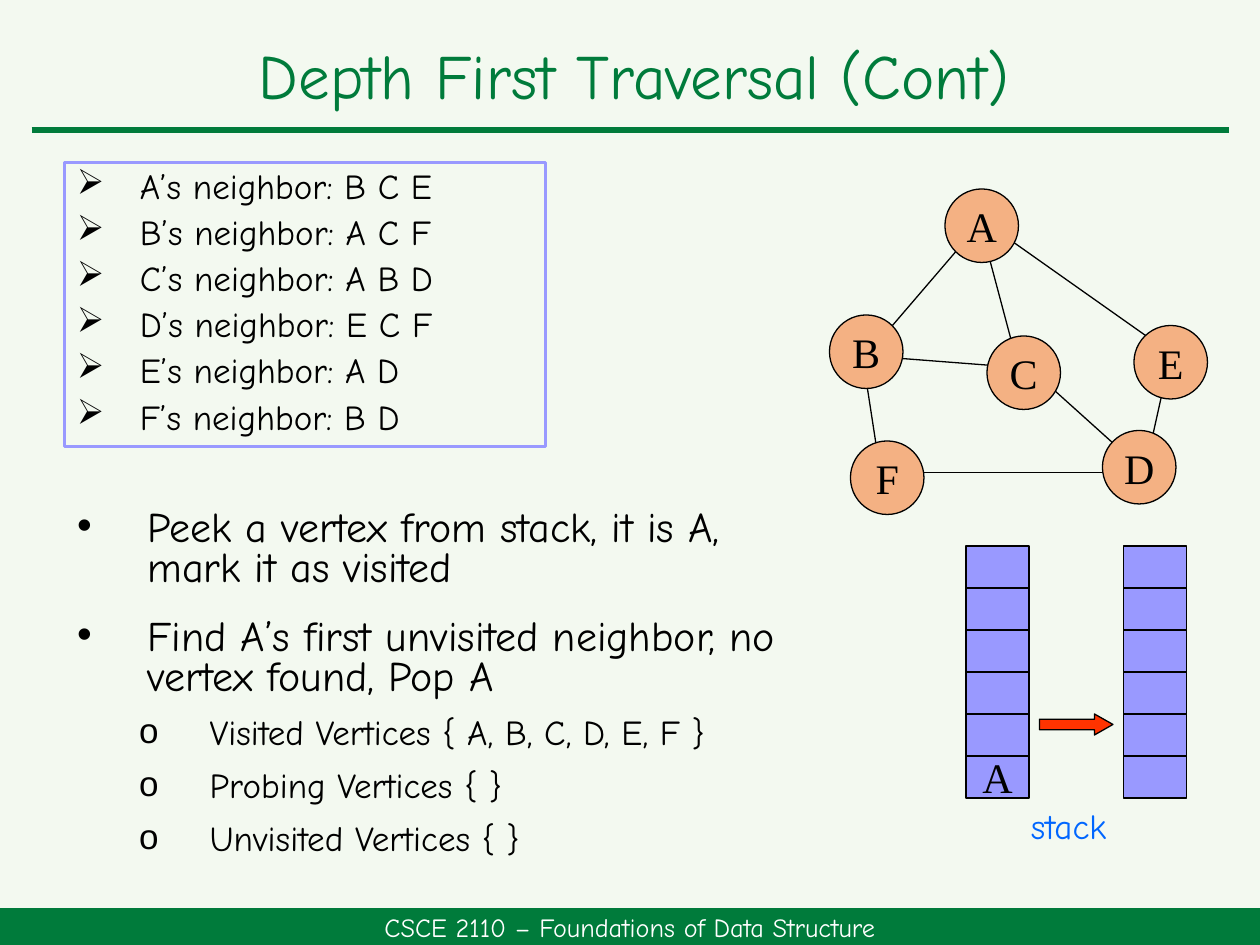
import dataclasses

import pptx
import pptx.dml.color
import pptx.enum.shapes
import pptx.enum.text
import pptx.oxml
import pptx.oxml.ns
import pptx.util

Cm = pptx.util.Cm
Pt = pptx.util.Pt
RGB = pptx.dml.color.RGBColor.from_string
SHAPE = pptx.enum.shapes.MSO_SHAPE
ALIGN = pptx.enum.text.PP_ALIGN
ANCHOR = pptx.enum.text.MSO_ANCHOR


@dataclasses.dataclass(frozen=True)
class Theme:
    background: str = "F3F9F0"
    green: str = "007B3B"
    white: str = "FFFFFF"
    black: str = "000000"
    label: str = "0066FF"
    node: str = "F4B183"
    cell: str = "9999FF"
    arrow: str = "FF3300"
    font: str = "Comic Neue"
    node_font: str = "Times New Roman"
    title_size: int = 36
    large_size: int = 24
    small_size: int = 20
    footer_size: int = 15


THEME = Theme()
NODE_SIZE = 7
NODES = {"A": (90, 18), "B": (79, 30), "C": (94, 32),
         "E": (108, 31), "F": (81, 42), "D": (105, 41)}
EDGES = [(84, 34, 97, 35), (91, 24, 85, 31), (93, 20, 97, 35),
         (95, 22, 112, 34), (82, 33, 84, 46), (111, 36, 109, 45),
         (98, 35, 108, 44), (86, 45, 107, 45)]
STACK_TOP, CELL_WIDTH, CELL_HEIGHT, CELL_COUNT = 52, 6, 4, 6
NEIGHBORS = {"A": "B C E", "B": "A C F", "C": "A B D",
             "D": "E C F", "E": "A D", "F": "B D"}
STEPS = ["Peek a vertex from stack, it is A, mark it as visited",
         "Find A’s first unvisited neighbor, no vertex found, Pop A"]
VERTEX_SETS = ["Visited Vertices { A, B, C, D, E, F }",
               "Probing Vertices { }", "Unvisited Vertices { }"]


def grid(*units):
    return [Cm(n * 2.54 / 12) for n in units]


def place(sp, left, top, width, height):
    sp.left, sp.top, sp.width, sp.height = left, top, width, height


def format_runs(p, size, color=THEME.black, font=THEME.font):
    for r in p.runs:
        r.font.size = Pt(size)
        r.font.name = font
        r.font.color.rgb = RGB(color)


def add_line(slide, ends, color=THEME.black, width=0.75):
    line = slide.shapes.add_connector(
        pptx.enum.shapes.MSO_CONNECTOR.STRAIGHT, *ends)
    line.line.color.rgb = RGB(color)
    line.line.width = Pt(width)
    props = line._element.spPr
    props.append(pptx.oxml.parse_xml(
        "<a:effectLst %s/>" % pptx.oxml.ns.nsdecls("a")))


def add_box(slide, kind, box, fill=None, outline=THEME.black, width=0.75):
    sp = slide.shapes.add_shape(kind, *box)
    sp.shadow.inherit = False
    if fill:
        sp.fill.solid()
        sp.fill.fore_color.rgb = RGB(fill)
    else:
        sp.fill.background()
    if outline:
        sp.line.color.rgb = RGB(outline)
        sp.line.width = Pt(width)
    else:
        sp.line.fill.background()
    return sp


def set_label(sp, text, size, color=THEME.black, font=THEME.node_font):
    tf = sp.text_frame
    tf.text = text
    tf.word_wrap = False
    tf.vertical_anchor = ANCHOR.MIDDLE
    p = tf.paragraphs[0]
    p.alignment = ALIGN.CENTER
    format_runs(p, size, color, font)


def set_bullet(p, char, margin, hanging):
    props = p._p.get_or_add_pPr()
    props.set("marL", str(Cm(margin)))
    props.set("indent", str(-Cm(hanging)))
    bullet = pptx.oxml.parse_xml(
        "<a:buChar %s/>" % pptx.oxml.ns.nsdecls("a"))
    bullet.set("char", char)
    props.append(bullet)


def add_item(tf, text, size, char, level, margin, hanging,
             spacing, before, after):
    first = not tf.text
    p = tf.paragraphs[0] if first else tf.add_paragraph()
    p.text = text
    p.level = level
    p.alignment = ALIGN.LEFT
    set_bullet(p, char, margin, hanging)
    p.line_spacing = spacing
    p.space_before = Pt(0 if first else before)
    p.space_after = Pt(after)
    format_runs(p, size)


def add_title(slide):
    sp = slide.shapes.title
    place(sp, Cm(0.76), Cm(0.64), Cm(24.05), Cm(1.9))
    set_label(sp, "Depth First Traversal (Cont)", THEME.title_size,
              THEME.green, THEME.font)
    sp.text_frame.word_wrap = True
    sp.text_frame.paragraphs[0].line_spacing = 0.9


def add_steps(slide):
    sp = slide.placeholders[1]
    place(sp, Cm(1.3), Cm(10.16), Cm(14.99), Cm(7.9))
    tf = sp.text_frame
    tf.auto_size = pptx.enum.text.MSO_AUTO_SIZE.NONE
    for text in STEPS:
        add_item(tf, text, THEME.large_size, "•", 0, 1.42, 1.42, 0.8, 10, 6)
    for text in VERTEX_SETS:
        add_item(tf, text, THEME.small_size, "o", 1, 2.67, 1.42, 0.8, 5, 6)


def add_neighbors(slide):
    box = Cm(1.3), Cm(3.28), Cm(9.7), Cm(5.72)
    sp = add_box(slide, SHAPE.RECTANGLE, box, None, THEME.cell, 1.5)
    tf = sp.text_frame
    tf.word_wrap = True
    tf.vertical_anchor = ANCHOR.TOP
    for vertex, others in NEIGHBORS.items():
        add_item(tf, f"{vertex}’s neighbor: {others}", THEME.small_size,
                 "➢", 1, 1.27, 1.27, 0.9, 4.8, 0)


def add_graph(slide):
    for edge in EDGES:
        add_line(slide, grid(*edge))
    for name, corner in NODES.items():
        sp = add_box(slide, SHAPE.OVAL, grid(*corner, NODE_SIZE, NODE_SIZE),
                     THEME.node)
        set_label(sp, name, THEME.large_size)


def add_stack(slide, left, bottom_text=""):
    for i in range(CELL_COUNT):
        box = grid(left, STACK_TOP + i * CELL_HEIGHT, CELL_WIDTH, CELL_HEIGHT)
        sp = add_box(slide, SHAPE.RECTANGLE, box, THEME.cell)
    if bottom_text:
        set_label(sp, bottom_text, THEME.large_size)


def add_stack_label(slide):
    sp = slide.shapes.add_textbox(*grid(97, 76, 11, 5.25))
    tf = sp.text_frame
    tf.text = "stack"
    tf.word_wrap = True
    format_runs(tf.paragraphs[0], THEME.small_size, THEME.label)


def main():
    prs = pptx.Presentation()
    prs.slide_width, prs.slide_height = Cm(25.4), Cm(19.05)
    slide = prs.slides.add_slide(prs.slide_layouts[1])
    slide.background.fill.solid()
    slide.background.fill.fore_color.rgb = RGB(THEME.background)
    add_title(slide)
    add_line(slide, [Cm(0.64), Cm(2.62), Cm(24.77), Cm(2.62)], THEME.green, 3)
    footer = add_box(slide, SHAPE.RECTANGLE,
                     [Cm(0), Cm(18.31), Cm(25.4), Cm(0.74)], THEME.green, None)
    set_label(footer, "CSCE 2110 – Foundations of Data Structure",
              THEME.footer_size, THEME.white, THEME.font)
    add_steps(slide)
    add_neighbors(slide)
    add_graph(slide)
    add_stack(slide, 107)
    add_stack(slide, 92, "A")
    arrow = add_box(slide, SHAPE.RIGHT_ARROW, grid(99, 68, 7, 2), THEME.arrow)
    arrow.adjustments[0] = 0.5
    arrow.adjustments[1] = 0.88
    add_stack_label(slide)
    prs.save("out.pptx")


if __name__ == "__main__":
    main()
